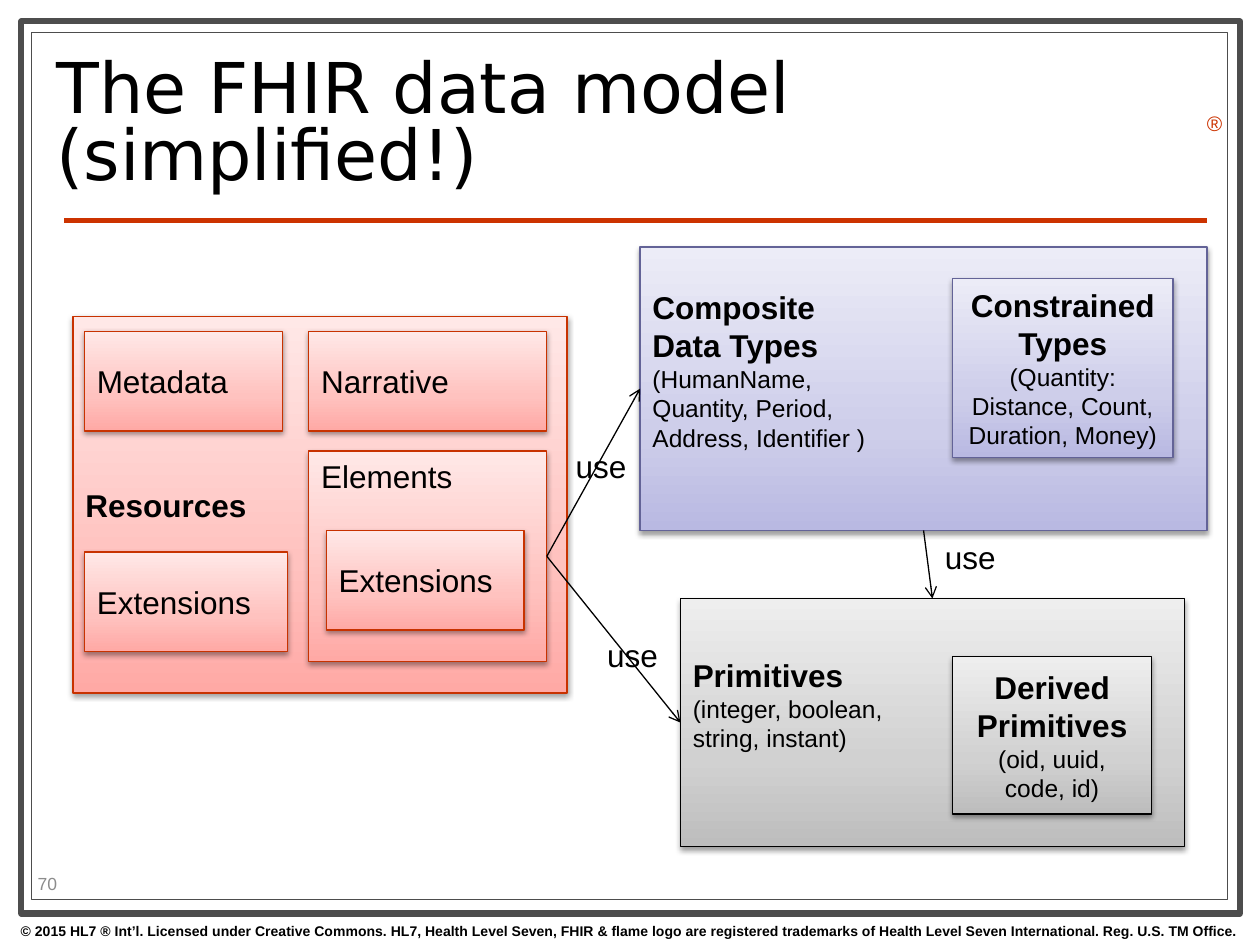
from dataclasses import dataclass

from pptx import Presentation
from pptx.dml.color import RGBColor
from pptx.enum.shapes import MSO_CONNECTOR, MSO_SHAPE
from pptx.enum.text import MSO_ANCHOR, PP_ALIGN
from pptx.oxml import parse_xml
from pptx.oxml.ns import nsdecls, qn
from pptx.util import Inches, Pt


@dataclass(frozen=True)
class Theme:
    """Colours, gradients, fonts and type sizes of the slide."""
    black: str = "000000"
    white: str = "FFFFFF"
    frame: str = "4D4D4D"
    accent: str = "CC3300"
    muted: str = "8C8C8C"
    red: tuple = ("FFA9A5", "FFC2BF", "FFE8E7", "C83200")
    violet: tuple = ("B9B9E2", "CECEEA", "ECECF7", "636397")
    grey: tuple = ("BDBDBD", "D1D1D1", "EEEEEE", "000000")
    body_font: str = "Arial"
    title_font: str = "DejaVu Sans"
    title: int = 40
    heading: int = 18
    detail: int = 14
    mark: int = 12
    number: int = 10
    legal: int = 8


@dataclass(frozen=True)
class Box:
    """A rectangle in inches."""
    left: float
    top: float
    width: float
    height: float

    def inner(self, dx, dy, width, height):
        """Return a box placed relative to this one."""
        return Box(self.left + dx, self.top + dy, width, height)

    def lengths(self):
        """Return left, top, width and height as lengths."""
        return [Inches(v) for v in (self.left, self.top, self.width, self.height)]


THEME = Theme()


def apply_format(target, **values):
    """Set each given attribute on the target."""
    for name, value in values.items():
        setattr(target, name, value)


def write(frame, lines, align=PP_ALIGN.LEFT, spacing=None, **frame_format):
    """Write (text, size, bold, colour, font) lines as paragraphs."""
    apply_format(frame, **{"word_wrap": True, **frame_format})
    for index, (text, size, bold, color, font) in enumerate(lines):
        paragraph = frame.add_paragraph() if index else frame.paragraphs[0]
        apply_format(paragraph, text=text, alignment=align, line_spacing=spacing)
        apply_format(paragraph.font, size=Pt(size), bold=bold, name=font)
        paragraph.font.color.rgb = RGBColor.from_string(color)


def line(text, size=THEME.heading, bold=False, color=THEME.black, font=THEME.body_font):
    """Describe one line of text."""
    return text, size, bold, color, font


def heading(*texts):
    """Describe bold heading lines."""
    return [line(text, bold=True) for text in texts]


def details(*texts):
    """Describe small detail lines."""
    return [line(text, THEME.detail) for text in texts]


def add_text(slide, box, lines, **text_format):
    """Add a text box."""
    write(slide.shapes.add_textbox(*box.lengths()).text_frame, lines, **text_format)


def add_card(slide, box, palette, lines, **text_format):
    """Add a rectangle with a vertical gradient, soft shadow and text."""
    card = slide.shapes.add_shape(MSO_SHAPE.RECTANGLE, *box.lengths())
    *stops, outline = palette
    gradient = "".join(f'<a:gs pos="{position}"><a:srgbClr val="{color}"/></a:gs>'
                       for position, color in zip((0, 35000, 100000), stops))
    properties = card._element.spPr
    properties.find(qn("a:prstGeom")).addnext(parse_xml(
        f'<a:gradFill {nsdecls("a")} rotWithShape="1"><a:gsLst>{gradient}</a:gsLst>'
        '<a:lin ang="16200000" scaled="0"/></a:gradFill>'))
    card.line.color.rgb = RGBColor.from_string(outline)
    card.line.width = Pt(0.75)
    card.shadow.inherit = False
    properties.find(qn("a:effectLst")).append(parse_xml(
        f'<a:outerShdw {nsdecls("a")} blurRad="40000" dist="20000" dir="5400000" '
        'rotWithShape="0"><a:srgbClr val="000000"><a:alpha val="38000"/></a:srgbClr>'
        '</a:outerShdw>'))
    write(card.text_frame, lines, **{"vertical_anchor": MSO_ANCHOR.MIDDLE, **text_format})
    return card


def add_line(slide, start, end, color, width):
    """Add a straight connector without shadow."""
    connector = slide.shapes.add_connector(
        MSO_CONNECTOR.STRAIGHT, *[Inches(v) for v in (*start, *end)])
    connector.line.color.rgb = RGBColor.from_string(color)
    connector.line.width = Pt(width)
    connector._element.spPr.append(parse_xml(f'<a:effectLst {nsdecls("a")}/>'))
    return connector


def add_use(slide, source, source_side, target, target_side, label_box):
    """Join two cards with an arrow labelled "use"."""
    arrow = add_line(slide, (0, 0), (1, 1), THEME.black, 0.75)
    arrow.begin_connect(source, source_side)
    arrow.end_connect(target, target_side)
    arrow.line._get_or_add_ln().append(
        parse_xml(f'<a:tailEnd {nsdecls("a")} type="arrow"/>'))
    add_text(slide, label_box, [line("use")], word_wrap=False)


def add_page(slide, box):
    """Draw the double frame, title, rule and footer."""
    for frame_box, width in ((box.inner(0.17, 0.17, 9.67, 7.08), 3.5),
                             (box.inner(0.25, 0.26, 9.49, 6.88), 0.75)):
        border = slide.shapes.add_shape(MSO_SHAPE.RECTANGLE, *frame_box.lengths())
        border.shadow.inherit = False
        border.fill.solid()
        border.fill.fore_color.rgb = RGBColor.from_string(THEME.white)
        border.line.color.rgb = RGBColor.from_string(THEME.frame)
        border.line.width = Pt(width)
    add_line(slide, (box.left + 0.51, box.top + 1.75), (box.left + 9.58, box.top + 1.75),
             THEME.accent, 3)
    add_text(slide, box.inner(0, 7.27, 10, 0.23), [line(
        "© 2015 HL7 ® Int’l. Licensed under Creative Commons. HL7, Health Level Seven, "
        "FHIR & flame logo are registered trademarks of Health Level Seven International. "
        "Reg. U.S. TM Office.", THEME.legal, True)], align=PP_ALIGN.CENTER)
    add_text(slide, box.inner(9.48, 0.83, 0.31, 0.3),
             [line("®", THEME.mark, color=THEME.accent)])
    add_text(slide, box.inner(0.35, 0.36, 7.17, 1.29),
             [line("The FHIR data model (simplified!)", THEME.title, font=THEME.title_font)],
             spacing=0.8, vertical_anchor=MSO_ANCHOR.MIDDLE)
    add_text(slide, box.inner(0.2, 6.89, 0.79, 0.24),
             [line("70", THEME.number, color=THEME.muted)],
             vertical_anchor=MSO_ANCHOR.MIDDLE)


def add_resources(slide, box):
    """Draw the resources region and return its elements card."""
    add_card(slide, box, THEME.red, heading("Resources"))
    add_card(slide, box.inner(0.09, 0.12, 1.57, 0.79), THEME.red, [line("Metadata")])
    add_card(slide, box.inner(1.87, 0.12, 1.89, 0.79), THEME.red, [line("Narrative")])
    add_card(slide, box.inner(0.09, 1.87, 1.61, 0.79), THEME.red, [line("Extensions")])
    elements = add_card(slide, box.inner(1.87, 1.07, 1.89, 1.67), THEME.red,
                        [line("Elements")], vertical_anchor=MSO_ANCHOR.TOP)
    add_card(slide, box.inner(2.01, 1.7, 1.57, 0.79), THEME.red, [line("Extensions")])
    return elements


def add_types(slide, box, palette, lines, special_box, special_lines):
    """Draw a data type region with its specialised types and return its card."""
    region = add_card(slide, box, palette, lines, margin_bottom=Inches(0.34))
    add_card(slide, special_box, palette, special_lines, align=PP_ALIGN.CENTER)
    return region


def main():
    """Build and save the slide."""
    deck = Presentation()
    deck.slide_width, deck.slide_height = Inches(10), Inches(7.5)
    slide = deck.slides.add_slide(deck.slide_layouts[6])
    add_page(slide, Box(0, 0, 10, 7.5))
    elements = add_resources(slide, Box(0.58, 2.51, 3.92, 2.99))
    primitive_box = Box(5.4, 4.75, 4, 1.97)
    primitives = add_types(
        slide, primitive_box, THEME.grey,
        heading("Primitives") + details("(integer, boolean,", "string, instant)"),
        primitive_box.inner(2.16, 0.46, 1.58, 1.25),
        heading("Derived Primitives") + details("(oid, uuid,", "code, id)"))
    composite_box = Box(5.08, 1.96, 4.5, 2.25)
    composites = add_types(
        slide, composite_box, THEME.violet,
        heading("Composite", "Data Types")
        + details("(HumanName,", "Quantity, Period,", "Address, Identifier )"),
        composite_box.inner(2.48, 0.25, 1.75, 1.42),
        heading("Constrained Types") + details("(Quantity: Distance, Count, Duration, Money)"))
    add_use(slide, composites, 2, primitives, 0, Box(7.4, 4.22, 0.61, 0.4))
    add_use(slide, elements, 3, composites, 1, Box(4.47, 3.5, 0.61, 0.4))
    add_use(slide, elements, 3, primitives, 1, Box(4.72, 5, 0.61, 0.4))
    deck.save("out.pptx")


if __name__ == "__main__":
    main()
